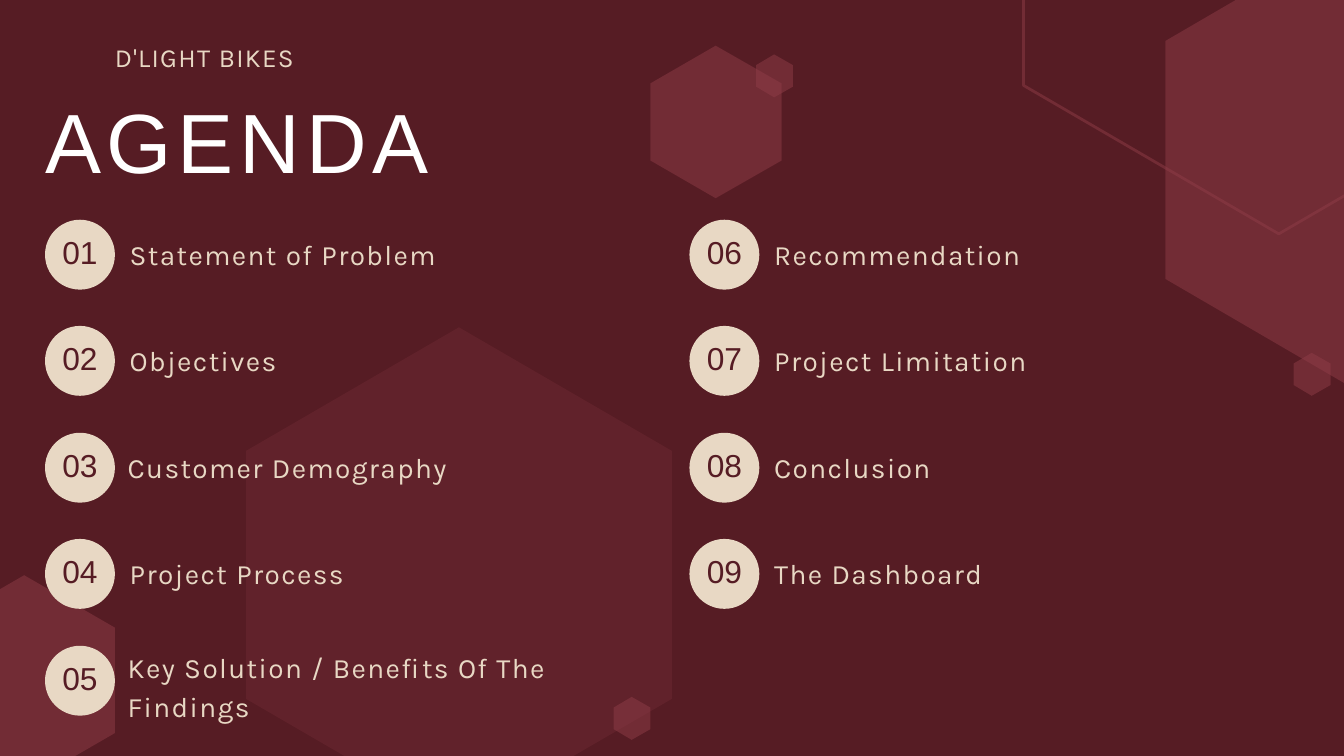
import pptx
import pptx.dml.color
import pptx.enum.shapes
import pptx.enum.text
import pptx.oxml
import pptx.oxml.ns
import pptx.util

SCALE = 9144
WINE, ROSE, PLUM = "561C24", "8E3C47", "6D2932"
CREAM, WHITE = "E8D8C4", "FFFFFF"


def px(size):
    return pptx.util.Emu(size * SCALE)


def tint(code):
    return pptx.dml.color.RGBColor.from_string(code)


class Deck:
    def __init__(self, wide, high, back):
        self.file = pptx.Presentation()
        self.file.slide_width, self.file.slide_height = px(wide), px(high)
        self.slide = self.file.slides.add_slide(self.file.slide_layouts[6])
        fill = self.slide.background.fill
        fill.solid()
        fill.fore_color.rgb = tint(back)

    def hexa(self, x, y, w, h, code, line=0):
        mid, left, right = x + w // 2, x, x + w
        upper, lower = y + h // 4, y + h - h // 4
        build = self.slide.shapes.build_freeform(mid, y, scale=SCALE)
        build.add_line_segments([(right, upper), (right, lower), (mid, y + h),
                                 (left, lower), (left, upper)], close=True)
        shape = build.convert_to_shape()
        shape.shadow.inherit = False
        if line:
            shape.fill.background()
            shape.line.width = pptx.util.Pt(line)
            paint = shape.line.fill
        else:
            shape.line.fill.background()
            paint = shape.fill
        paint.solid()
        paint.fore_color.rgb = tint(code)
        for node in shape._element.spPr.iter(pptx.oxml.ns.qn("a:srgbClr")):
            alpha = pptx.oxml.parse_xml(
                "<a:alpha %s val='50000'/>" % pptx.oxml.ns.nsdecls("a"))
            node.append(alpha)

    def disc(self, x, y, size, code):
        kind = pptx.enum.shapes.MSO_SHAPE.OVAL
        shape = self.slide.shapes.add_shape(kind, px(x), px(y), px(size), px(size))
        shape.shadow.inherit = False
        shape.fill.solid()
        shape.fill.fore_color.rgb = tint(code)
        shape.line.fill.background()

    def text(self, x, y, w, h, words, font, size, lead, code, track=0, badge=False):
        box = self.slide.shapes.add_textbox(px(x), px(y), px(w), px(h))
        frame = box.text_frame
        frame.text = words
        frame.word_wrap = True
        inset = px(6 if badge else 0)
        frame.margin_left = frame.margin_right = inset
        frame.margin_top = frame.margin_bottom = inset
        para = frame.paragraphs[0]
        para.line_spacing = pptx.util.Pt(lead)
        if badge:
            frame.vertical_anchor = pptx.enum.text.MSO_ANCHOR.MIDDLE
            para.alignment = pptx.enum.text.PP_ALIGN.CENTER
        else:
            frame.auto_size = pptx.enum.text.MSO_AUTO_SIZE.SHAPE_TO_FIT_TEXT
        for run in para.runs:
            run.font.name = font
            run.font.size = pptx.util.Pt(size)
            run.font.color.rgb = tint(code)
            if track:
                run._r.get_or_add_rPr().set("spc", str(track))

    def badge(self, x, y, num):
        self.disc(x, y, 104, CREAM)
        self.text(x + 10, y - 8, 84, 101, f"{num:02}", "Arial", 34, 47.6,
                  WINE, badge=True)

    def label(self, x, y, high, words):
        self.text(x, y, 751, high, words, "Karla", 30, 42, CREAM, track=150)


def main():
    deck = Deck(2000, 1125, WINE)
    deck.hexa(366, 487, 634, 737, PLUM)
    deck.hexa(1734, -116, 608, 708, ROSE)
    deck.hexa(1523, -536, 760, 884, ROSE, line=3)
    deck.hexa(-99, 856, 270, 313, ROSE)
    deck.hexa(968, 68, 195, 227, ROSE)
    for x, y in [(1125, 81), (1925, 525), (913, 1037)]:
        deck.hexa(x, y, 55, 64, ROSE)

    deck.text(171, 54, 1317, 54, "D'LIGHT BIKES", "Karla", 28, 39.2, CREAM, track=140)
    deck.text(67, 171, 877, 143, "AGENDA", "Arial", 90, 81, WHITE, track=630)

    topics = [
        ("Statement of Problem", 126, 18, 58),
        ("Objectives", 126, 18, 58),
        ("Customer Demography", 123, 18, 58),
        ("Project Process", 126, 18, 58),
        ("Key Solution / Benefits Of The Findings", 123, -1, 165),
        ("Recommendation", 126, 18, 117),
        ("Project Limitation", 126, 18, 58),
        ("Conclusion", 126, 18, 117),
        ("The Dashboard", 126, 18, 58),
    ]
    for i, (words, dx, dy, high) in enumerate(topics):
        col, row = divmod(i, 5)
        x, y = 67 + 959 * col, 327 + 317 * row // 2
        deck.badge(x, y, i + 1)
        deck.label(x + dx, y + dy, high, words)

    deck.file.save("out.pptx")


if __name__ == "__main__":
    main()
